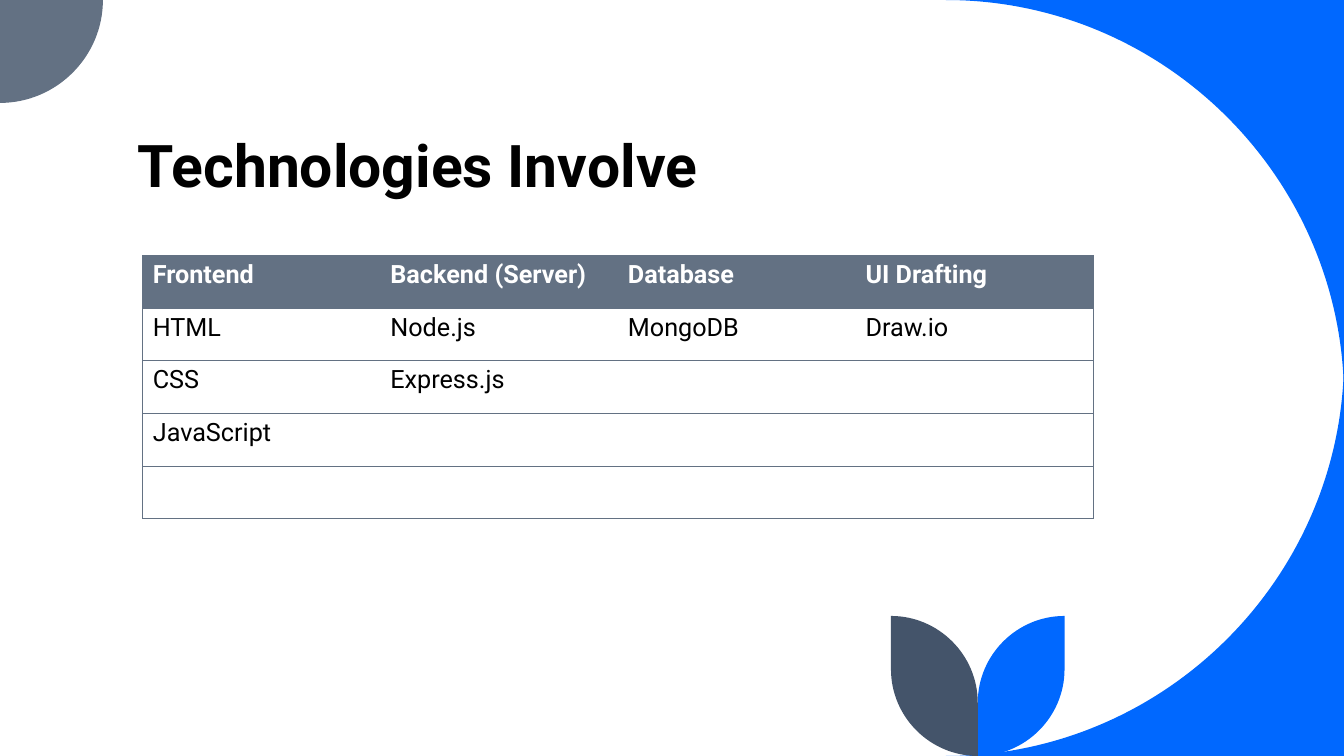
from lxml import etree
from pptx import Presentation
from pptx.dml.color import RGBColor
from pptx.enum import text as text_enum
from pptx.oxml import ns
from pptx.util import Pt

TITLE = "Technologies Involve"
ROWS = [
    ("Frontend", "Backend (Server)", "Database", "UI Drafting"),
    ("HTML", "Node.js", "MongoDB", "Draw.io"),
    ("CSS", "Express.js", "", ""),
    ("JavaScript", "", "", ""),
    ("", "", "", ""),
]
COLORS = {"blue": "0068FF", "gray": "637183", "slate": "44546A",
          "black": "000000", "white": "FFFFFF"}
FONT = "Roboto"
WIDTH, HEIGHT = 960, 540
CURVE_RADIUS = 284.4
CORNER_RADIUS = 73.5
LEAF_AXIS, LEAF_WIDTH, LEAF_HEIGHT = 698.4, 62, 100
TABLE_LEFT, TABLE_TOP, COLUMN_WIDTH, ROW_HEIGHT = 102, 182.4, 169.7, 37.6
UNITS_PER_POINT = 100
ARC_RATIO = 0.55


def add_outline(slide, color, *steps):
    points = [tuple(round(value * UNITS_PER_POINT) for value in step[0]) for step in steps]
    origin = [min(values) for values in zip(*points)]
    builder = slide.shapes.build_freeform(*points[0], scale=Pt(1) / UNITS_PER_POINT)
    builder.add_line_segments(points[1:], close=True)
    shape = builder.convert_to_shape()
    segments = list(shape._element.iter(ns.qn("a:lnTo")))
    for index, segment in enumerate(segments[:len(steps) - 1]):
        if len(steps[index + 1]) == 2:
            corner = [value * UNITS_PER_POINT for value in steps[index + 1][1]]
            segment.tag = ns.qn("a:cubicBezTo")
            for position, end in enumerate(points[index:index + 2]):
                x, y = (round(value + ARC_RATIO * (bend - value) - start)
                        for value, bend, start in zip(end, corner, origin))
                control = etree.Element(ns.qn("a:pt"), x=str(x), y=str(y))
                segment.insert(position, control)
    shape.shadow.inherit = False
    shape.fill.solid()
    shape.fill.fore_color.rgb = RGBColor.from_string(COLORS[color])
    shape.line.fill.background()


def write(frame, content, size, color, bold=False, spacing=None):
    paragraph = frame.paragraphs[0]
    paragraph.line_spacing = spacing
    run = paragraph.add_run()
    run.text = content
    run.font.name = FONT
    run.font.size = Pt(size)
    run.font.bold = bold
    run.font.color.rgb = RGBColor.from_string(COLORS[color])


def set_borders(cell, visible_sides):
    properties = cell._tc.get_or_add_tcPr()
    for side in "LRTB":
        line = etree.SubElement(properties, ns.qn(f"a:ln{side}"), w=str(Pt(0.5)))
        if side in visible_sides:
            fill = etree.SubElement(line, ns.qn("a:solidFill"))
            etree.SubElement(fill, ns.qn("a:srgbClr"), val=COLORS["gray"])
        else:
            etree.SubElement(line, ns.qn("a:noFill"))


def add_decoration(slide):
    curve_left = WIDTH - CURVE_RADIUS
    for edge, side_end in ((0, CURVE_RADIUS), (HEIGHT, HEIGHT - CURVE_RADIUS)):
        corner = (WIDTH, edge)
        add_outline(slide, "blue", (corner,), ((curve_left, edge),), ((WIDTH, side_end), corner))
    add_outline(slide, "gray", ((0, 0),), ((CORNER_RADIUS, 0),),
                ((0, CORNER_RADIUS), (CORNER_RADIUS, CORNER_RADIUS)))
    top = HEIGHT - LEAF_HEIGHT
    for direction, color in ((1, "blue"), (-1, "slate")):
        outer = LEAF_AXIS + direction * LEAF_WIDTH
        add_outline(slide, color, ((outer, top),), ((outer, HEIGHT - LEAF_WIDTH),),
                    ((LEAF_AXIS, HEIGHT), (outer, HEIGHT)),
                    ((LEAF_AXIS, top + LEAF_WIDTH),),
                    ((outer, top), (LEAF_AXIS, top)))


def add_title(slide):
    box = slide.shapes.add_textbox(Pt(91.4), Pt(7.9), Pt(769.7), Pt(137.5))
    box.text_frame.word_wrap = True
    box.text_frame.vertical_anchor = text_enum.MSO_ANCHOR.BOTTOM
    write(box.text_frame, TITLE, size=42, color="black", bold=True, spacing=0.8)


def add_technology_table(slide):
    column_count = len(ROWS[0])
    table = slide.shapes.add_table(
        len(ROWS), column_count, Pt(TABLE_LEFT), Pt(TABLE_TOP),
        Pt(COLUMN_WIDTH * column_count), Pt(ROW_HEIGHT * len(ROWS))).table
    table.first_row = table.horz_banding = False
    for column in table.columns:
        column.width = Pt(COLUMN_WIDTH)
    for row_index, row in enumerate(ROWS):
        table.rows[row_index].height = Pt(ROW_HEIGHT)
        header = row_index == 0
        for column_index, content in enumerate(row):
            cell = table.cell(row_index, column_index)
            left = "L" if column_index == 0 else ""
            right = "R" if column_index == column_count - 1 else ""
            set_borders(cell, "TB" + left + right)
            if header:
                cell.fill.solid()
                cell.fill.fore_color.rgb = RGBColor.from_string(COLORS["gray"])
            else:
                cell.fill.background()
            if content:
                write(cell.text_frame, content, size=18, bold=header,
                      color="white" if header else "black")


def main():
    presentation = Presentation()
    presentation.slide_width, presentation.slide_height = Pt(WIDTH), Pt(HEIGHT)
    slide = presentation.slides.add_slide(presentation.slide_layouts[6])
    add_decoration(slide)
    add_title(slide)
    add_technology_table(slide)
    presentation.save("out.pptx")


if __name__ == "__main__":
    main()
